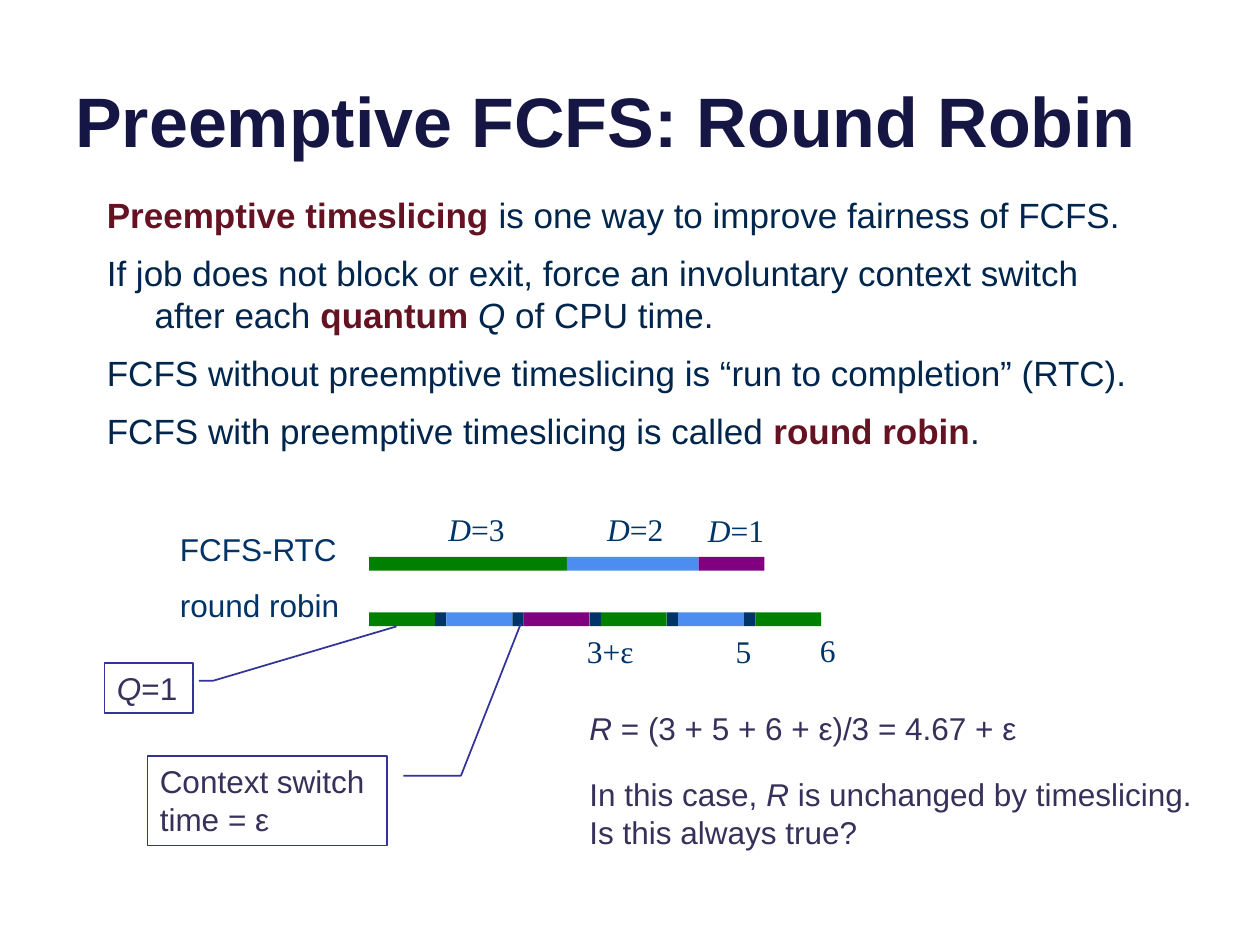
from pptx import Presentation
from pptx.dml.color import RGBColor
from pptx.enum.shapes import MSO_SHAPE
from pptx.enum.text import MSO_ANCHOR, PP_ALIGN
from pptx.util import Inches, Pt

COLORS = {
    "title": "161645", "body": "00264D", "accent": "651222",
    "label": "003367", "note": "37305A", "callout": "333399", "white": "FFFFFF",
    "green": "008000", "blue": "4D8CF1", "purple": "800080", "switch": "003367",
}


def write(box, paragraphs, font="Arial", size=18, color="label", bold=False,
          wrap=False, anchor=MSO_ANCHOR.TOP, hanging=0, gaps=()):
    """Fill box with paragraphs of (text, style) spans; style is "", "italic" or "accent"."""
    frame = box.text_frame
    frame.word_wrap = wrap
    frame.vertical_anchor = anchor
    for index, spans in enumerate(paragraphs):
        para = frame.paragraphs[0] if index == 0 else frame.add_paragraph()
        para.alignment = PP_ALIGN.LEFT
        if hanging:
            properties = para._p.get_or_add_pPr()
            properties.set("marL", str(Inches(hanging)))
            properties.set("indent", str(-Inches(hanging)))
        if gaps:
            para.space_before = Pt(gaps[index])
        for text, style in spans:
            span = para.add_run()
            span.text = text
            span.font.name = font
            span.font.size = Pt(size)
            span.font.bold = bold or style == "accent"
            span.font.italic = style == "italic"
            shade = "accent" if style == "accent" else color
            span.font.color.rgb = RGBColor.from_string(COLORS[shade])


def add_filled(kind, left, top, width, height, fill, line=None):
    shape = page.shapes.add_shape(kind, Inches(left), Inches(top), Inches(width), Inches(height))
    shape.shadow.inherit = False
    shape.fill.solid()
    shape.fill.fore_color.rgb = RGBColor.from_string(COLORS[fill])
    if line:
        shape.line.color.rgb = RGBColor.from_string(COLORS[line])
        shape.line.width = Pt(1)
    else:
        shape.line.fill.background()
    return shape


deck = Presentation()
deck.slide_width, deck.slide_height = Inches(10), Inches(7.5)
page = deck.slides.add_slide(deck.slide_layouts[6])

# Title and body
title = page.shapes.add_textbox(Inches(0.5), Inches(0.33), Inches(9), Inches(1))
write(title, [[("Preemptive FCFS: Round Robin", "")]], size=40, color="title",
      bold=True, wrap=True, anchor=MSO_ANCHOR.BOTTOM)

body = page.shapes.add_textbox(Inches(0.75), Inches(1.49), Inches(8.5), Inches(2.13))
write(body, [
    [("Preemptive timeslicing", "accent"), (" is one way to improve fairness of FCFS.", "")],
    [("If job does not block or exit, force an involuntary context switch after each ", ""),
     ("quantum ", "accent"), ("Q", "italic"), (" of CPU time.", "")],
    [("FCFS without preemptive timeslicing is “run to completion” (RTC).", "")],
    [("FCFS with preemptive timeslicing is called ", ""), ("round robin", "accent"), (".", "")],
], size=20, color="body", wrap=True, hanging=0.38, gaps=(9, 9, 9, 9))

# Timelines: one unit of CPU time is one quantum
START, UNIT, SWITCH, BAR_HEIGHT = 2.93, 0.523, 0.09, 0.11
left = START
for color, demand in (("green", 3), ("blue", 2), ("purple", 1)):
    add_filled(MSO_SHAPE.RECTANGLE, left, 4.42, demand * UNIT, BAR_HEIGHT, color)
    left += demand * UNIT

for turn, color in enumerate(("green", "blue", "purple", "green", "blue", "green")):
    left = START + turn * (UNIT + SWITCH)
    if turn:
        add_filled(MSO_SHAPE.RECTANGLE, left - SWITCH, 4.86, SWITCH, BAR_HEIGHT, "switch")
    add_filled(MSO_SHAPE.RECTANGLE, left, 4.86, UNIT, BAR_HEIGHT, color)

# Timeline labels
serif = "Times New Roman"
for left, top, width, font, spans in (
    (3.46, 4, 0.67, serif, [("D", "italic"), ("=3", "")]),
    (4.72, 4, 0.67, serif, [("D", "italic"), ("=2", "")]),
    (5.52, 4.01, 0.67, serif, [("D", "italic"), ("=1", "")]),
    (4.56, 4.97, 0.58, serif, [("3+ε", "")]),
    (5.74, 4.97, 0.33, serif, [("5", "")]),
    (6.41, 4.96, 0.33, serif, [("6", "")]),
    (1.33, 4.16, 1.46, "Arial", [("FCFS-RTC", "")]),
    (1.33, 4.6, 1.48, "Arial", [("round robin", "")]),
):
    label = page.shapes.add_textbox(Inches(left), Inches(top), Inches(width), Inches(0.4))
    write(label, [spans], font=font)

# Conclusion
conclusion = page.shapes.add_textbox(Inches(4.58), Inches(5.58), Inches(5.04), Inches(1.25))
write(conclusion, [
    [("R", "italic"), (" = (3 + 5 + 6 + ε)/3 = 4.67 + ε", "")],
    [("In this case, ", ""), ("R", "italic"), (" is unchanged by timeslicing.", "")],
    [("Is this always true?", "")],
], color="note", gaps=(0, 16, 0))

# Callouts: leader points are y, x pairs as fractions of the box
for place, leader, paragraphs in (
    ((0.83, 5.26, 0.7, 0.4), (0.36, 1.07, 0.36, 1.23, -0.72, 3.31),
     [[("Q", "italic"), ("=1", "")]]),
    ((1.17, 6, 1.9, 0.71), (0.22, 1.07, 0.22, 1.31, -1.48, 1.56),
     [[("Context switch", "")], [("time = ε", "")]]),
):
    callout = add_filled(MSO_SHAPE.LINE_CALLOUT_2, *place, "white", line="callout")
    for index, value in enumerate(leader):
        callout.adjustments[index] = value
    write(callout, paragraphs, color="note")

deck.save("out.pptx")
